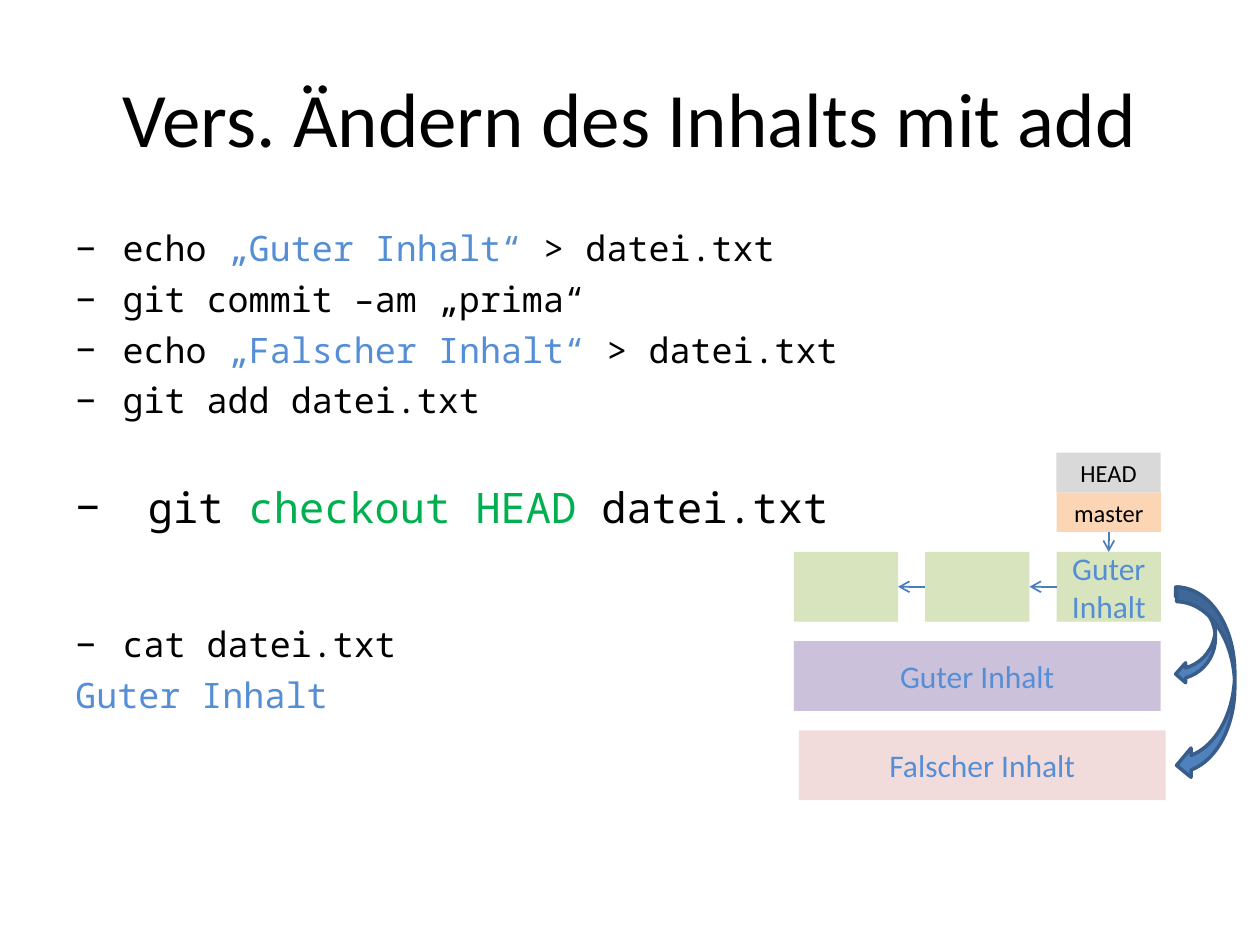
from lxml.etree import SubElement
from pptx import Presentation
from pptx.dml.color import RGBColor
from pptx.enum.shapes import MSO_CONNECTOR, MSO_SHAPE
from pptx.enum.text import MSO_ANCHOR, PP_ALIGN
from pptx.oxml.ns import qn
from pptx.util import Pt

BLACK, BLUE, GREEN = "000000", "558ED5", "00B050"


def color(value):
    return RGBColor.from_string(value)


def add_run(paragraph, text, font_name, size, text_color):
    run = paragraph.add_run()
    run.text = text
    formats = {"name": font_name, "size": Pt(size)}
    for name, value in formats.items():
        setattr(run.font, name, value)
    run.font.color.rgb = color(text_color)


presentation = Presentation()
presentation.slide_width, presentation.slide_height = Pt(720), Pt(540)
slide = presentation.slides.add_slide(presentation.slide_layouts[6])

# Title
title = slide.shapes.add_textbox(Pt(36), Pt(21.6), Pt(648), Pt(90))
title.text_frame.word_wrap = True
title.text_frame.vertical_anchor = MSO_ANCHOR.MIDDLE
paragraph = title.text_frame.paragraphs[0]
paragraph.alignment = PP_ALIGN.CENTER
add_run(paragraph, "Vers. Ändern des Inhalts mit add", "Calibri", 44, BLACK)

# Commands: space before, size, bullet, coloured runs
commands = [
    (5, 20, True, [("echo ", BLACK), ("„Guter Inhalt“", BLUE), (" > datei.txt", BLACK)]),
    (5, 20, True, [("git commit –am „prima“", BLACK)]),
    (5, 20, True, [("echo ", BLACK), ("„Falscher Inhalt“", BLUE), (" > datei.txt", BLACK)]),
    (5, 20, True, [("git add datei.txt", BLACK)]),
    (34.5, 24, True, [(" git ", BLACK), ("checkout HEAD ", GREEN), ("datei.txt", BLACK)]),
    (52, 20, True, [("cat datei.txt", BLACK)]),
    (5, 20, False, [("Guter Inhalt", BLUE)]),
]
body = slide.shapes.add_textbox(Pt(36), Pt(126), Pt(648), Pt(394))
body.text_frame.word_wrap = True
for index, (space, size, bullet, runs) in enumerate(commands):
    paragraph = body.text_frame.paragraphs[0] if index == 0 else body.text_frame.add_paragraph()
    paragraph.space_before = Pt(space)
    for text, text_color in runs:
        add_run(paragraph, text, "Noto Sans Mono", size, text_color)
    if bullet:
        properties = paragraph._p.get_or_add_pPr()
        properties.set("marL", str(Pt(27)))
        properties.set("indent", str(Pt(-27)))
        bullet_color = SubElement(properties, qn("a:buClr"))
        SubElement(bullet_color, qn("a:srgbClr"), val=BLACK)
        SubElement(properties, qn("a:buFont"), typeface="Noto Sans Mono")
        SubElement(properties, qn("a:buChar"), char="−")

# Working copy, index, commits and labels: left, top, width, height, fill, size, colour, lines
commit_lefts = [453.6, 528.7, 603.8]
commit_top, commit_width, box_height = 315.4, 59.6, 39.8
boxes = [
    (456.5, 417.4, 209.7, box_height, "F2DCDB", 18, BLUE, ["Falscher Inhalt"]),
    (453.6, 366.4, 209.7, box_height, "CCC1DA", 18, BLUE, ["Guter Inhalt"]),
    (603.8, 281.4, commit_width, 22.6, "FCD5B5", 14, BLACK, ["master"]),
    (603.6, 258.6, commit_width, 22.8, "D9D9D9", 14, BLACK, ["HEAD"]),
]
for left, lines in zip(commit_lefts, ([], [], ["Guter", "Inhalt"])):
    boxes.append((left, commit_top, commit_width, box_height, "D7E4BD", 18, BLUE, lines))
for left, top, width, height, fill, size, text_color, lines in boxes:
    shape = slide.shapes.add_shape(MSO_SHAPE.RECTANGLE, Pt(left), Pt(top), Pt(width), Pt(height))
    shape.shadow.inherit = False
    shape.fill.solid()
    shape.fill.fore_color.rgb = color(fill)
    shape.line.fill.background()
    shape.text_frame.vertical_anchor = MSO_ANCHOR.MIDDLE
    for index, line in enumerate(lines):
        paragraph = shape.text_frame.paragraphs[0] if index == 0 else shape.text_frame.add_paragraph()
        paragraph.alignment = PP_ALIGN.CENTER
        add_run(paragraph, line, "Calibri", size, text_color)

# Curved arrows from the commit to the index and the working copy
for left, width, height in [(671.8, 22.7, 55.4), (672.3, 33.3, 110.2)]:
    shape = slide.shapes.add_shape(
        MSO_SHAPE.CURVED_LEFT_ARROW, Pt(left), Pt(335.5), Pt(width), Pt(height))
    shape.shadow.inherit = False
    shape.fill.solid()
    shape.fill.fore_color.rgb = color("4F81BD")
    shape.line.color.rgb = color("385D8A")
    shape.line.width = Pt(2)

# Arrows from master to its commit, and from each commit to its parent
master_center = commit_lefts[2] + commit_width / 2
commit_middle = commit_top + box_height / 2
arrows = [(master_center, 304, master_center, commit_top)]
for parent, child in zip(commit_lefts, commit_lefts[1:]):
    arrows.append((child, commit_middle, parent + commit_width, commit_middle))
for points in arrows:
    connector = slide.shapes.add_connector(MSO_CONNECTOR.STRAIGHT, *map(Pt, points))
    connector.line.color.rgb = color("4A7EBB")
    connector.line.width = Pt(1)
    SubElement(connector.line._get_or_add_ln(), qn("a:tailEnd"), type="arrow")
    SubElement(connector._element.spPr, qn("a:effectLst"))

presentation.save("out.pptx")
